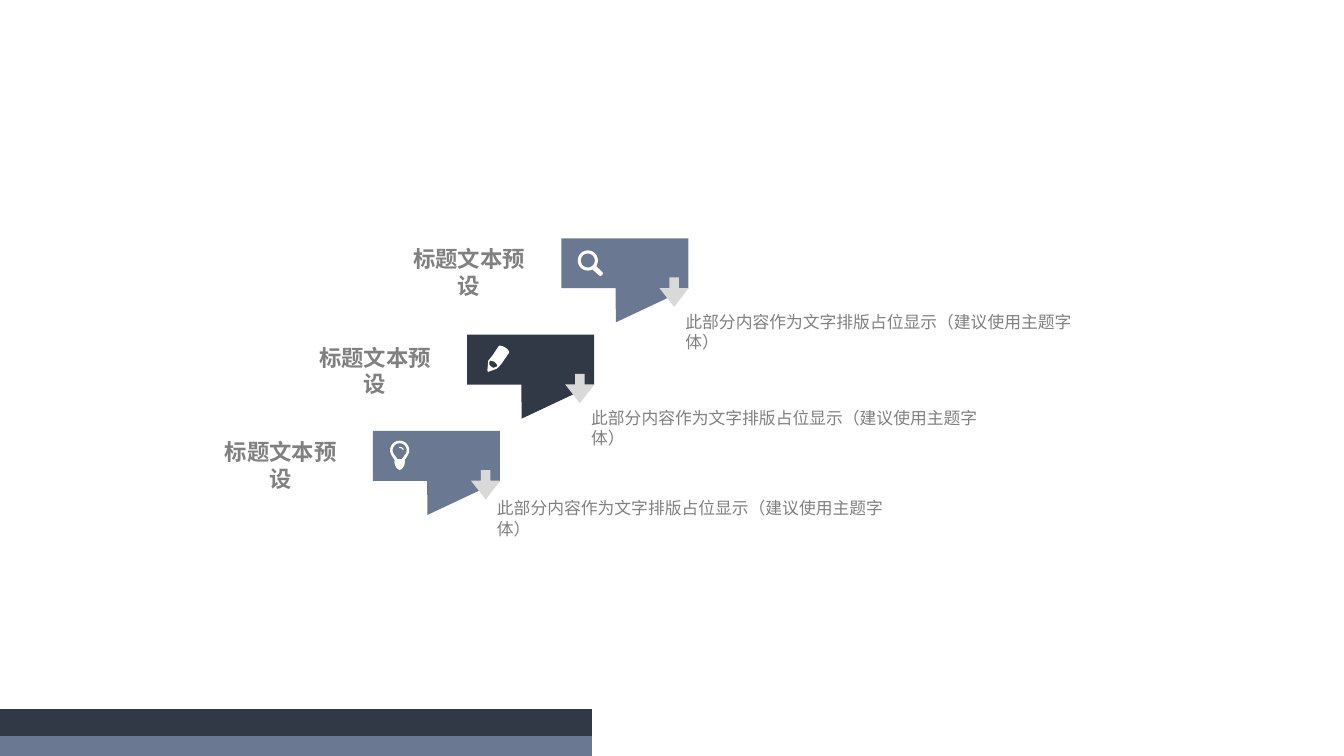
from math import cos, radians, sin

from lxml import etree
from pptx import Presentation
from pptx import util as u
from pptx.dml.color import RGBColor
from pptx.enum import shapes, text
from pptx.oxml.ns import qn

NAVY, SLATE, GREY, SILVER, WHITE = "313846", "6A7991", "808080", "D9D9D9", "FFFFFF"


def rgb(value):
    return RGBColor.from_string(value)


def arc(cx, cy, radius, start, end, steps=32):
    """Points along a circle; degrees run clockwise from the right."""
    angles = [radians(start + (end - start) * i / steps) for i in range(steps + 1)]
    return [(cx + radius * cos(a), cy + radius * sin(a)) for a in angles]


class Deck:
    font = "Noto Sans CJK SC"

    def __init__(self, prs):
        self.s = prs.slides.add_slide(prs.slide_layouts[6])

    def finish(self, sp, color):
        sp.shadow.inherit = False
        sp.line.fill.background()
        if color:
            sp.fill.solid()
            sp.fill.fore_color.rgb = rgb(color)
        return sp

    def shape(self, kind, x, y, w, h, color=None):
        sp = self.s.shapes.add_shape(kind, u.Pt(x), u.Pt(y), u.Pt(w), u.Pt(h))
        return self.finish(sp, color)

    def split_bar(self, x, y, w, h, top, bottom, split):
        """Rectangle whose colour changes sharply at the split fraction."""
        sp = self.shape(shapes.MSO_SHAPE.RECTANGLE, x, y, w, h)
        sp.fill.gradient()
        sp.fill.gradient_angle = 270
        for stop, color in zip(sp.fill.gradient_stops, (top, bottom)):
            stop.position = split
            stop.color.rgb = rgb(color)

    def outline(self, x, y, contours, color):
        """Filled freeform; contours inside others cut holes."""
        paths = [[(u.Pt(x + px), u.Pt(y + py)) for px, py in c] for c in contours]
        builder = self.s.shapes.build_freeform(*paths[0][0])
        for i, path in enumerate(paths):
            if i:
                builder.move_to(*path[0])
            builder.add_line_segments(path[1:], close=True)
        self.finish(builder.convert_to_shape(), color)

    def down_arrow(self, x, y, size, color):
        sp = self.shape(shapes.MSO_SHAPE.RIGHT_ARROW, x, y, size, size, color)
        sp.rotation = 90
        sp.adjustments[0], sp.adjustments[1] = 0.32, 0.64

    def label(self, x, y, w, h, words, size, bold=False, wrap=True, inset=(0, 0),
              align=text.PP_ALIGN.LEFT):
        tf = self.s.shapes.add_textbox(u.Pt(x), u.Pt(y), u.Pt(w), u.Pt(h)).text_frame
        tf.word_wrap = wrap
        tf.margin_left = tf.margin_right = u.Pt(inset[0])
        tf.margin_top = tf.margin_bottom = u.Pt(inset[1])
        p = tf.paragraphs[0]
        p.alignment = align
        r = p.add_run()
        r.text = words
        r.font.size, r.font.bold = u.Pt(size), bold
        r.font.color.rgb = rgb(GREY)
        r.font.name = self.font
        etree.SubElement(r.font._element, qn("a:ea")).set("typeface", self.font)


BUBBLE = [[(39, 60), (38.7, 35.7), (0, 35.7), (0, 0), (90.7, 0), (90.7, 35.7)]]

MAGNIFIER = [
    arc(18.9, 15.9, 7.2, 62, 394)
    + [(29.4, 24.4), (29.8, 25.4), (28.2, 27), (26.8, 26.6)],
    arc(18.9, 15.9, 5, 0, 360),
]
PENCIL = [
    [(23, 7.9), (25, 8.1), (27.4, 9.4), (29, 10.7), (30.2, 12.4), (29.5, 13.6),
     (24.5, 20.9), (22.3, 23.4), (20.9, 24.5), (15.1, 26.6), (14.4, 25.9),
     (15.1, 18.6), (18, 15.1), (22.5, 8.3)],
    [(20.9, 23), (18.7, 23.8), (17.3, 23), (15.8, 21.6), (15.8, 19.4),
     (16.6, 18.6), (19.4, 19.4), (21.2, 21.2), (21.6, 22.3)],
]
BULB = [
    arc(19.1, 13.8, 6.8, 148, 392)
    + [(22.6, 21), (22.9, 22), (22.4, 24.6), (21, 26.8), (19.1, 28),
       (17.2, 26.8), (15.8, 24.6), (15.3, 22), (15.6, 21)],
    arc(19.1, 13.8, 5, 148, 392) + [(20.6, 20.2), (17.6, 20.2)],
    [(18.7, 11.5), (20.5, 11.6), (22, 13), (21.8, 13.8), (20.4, 12.4), (18.7, 12.2)],
]

TITLE = "标题文本预设"
BODY = "此部分内容作为文字排版占位显示（建议使用主题字体）"

# icon, bubble colour, title drop, body drop
STEPS = [
    (MAGNIFIER, SLATE, 5, 49),
    (PENCIL, NAVY, 6.5, 48.5),
    (BULB, SLATE, 5.5, 44.5),
]


def main():
    prs = Presentation()
    prs.slide_width, prs.slide_height = u.Pt(960), u.Pt(540)
    deck = Deck(prs)
    deck.split_bar(0, 506.4, 423, 33.6, NAVY, SLATE, 0.58)
    for i, (icon, color, title_drop, body_drop) in enumerate(STEPS):
        x, y = 401 - 67.3 * i, 170.2 + 68.8 * i
        deck.outline(x, y, BUBBLE, color)
        deck.outline(x, y, icon, WHITE)
        deck.down_arrow(x + 70, y + 28, 21, SILVER)
        deck.label(x - 109.4, y + title_drop, 87, 21.6, TITLE, 16, bold=True,
                   wrap=False, align=text.PP_ALIGN.CENTER)
        deck.label(x + 81.5, y + body_drop, 301, 27.4, BODY, 12, inset=(7.2, 3.6))
    deck.shape(shapes.MSO_SHAPE.RECTANGLE, 0, 0, 960, 111.6, WHITE)
    prs.save("out.pptx")


if __name__ == "__main__":
    main()
